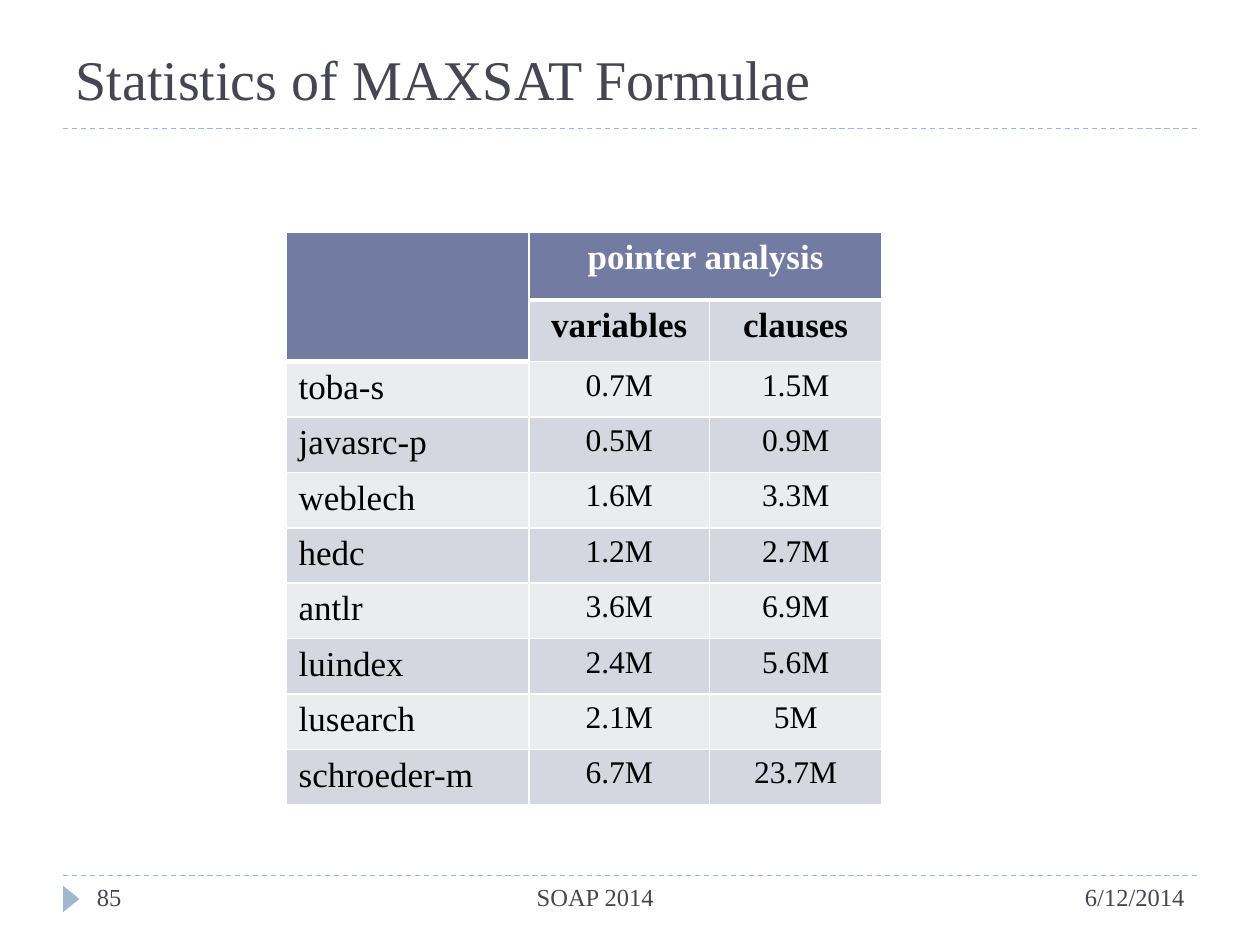
"""Build the slide with the table of MAXSAT formula statistics."""
from lxml import etree
from pptx import Presentation
from pptx.dml.color import RGBColor
from pptx.enum.dml import MSO_LINE
from pptx.enum.shapes import MSO_CONNECTOR, MSO_SHAPE
from pptx.enum.text import MSO_ANCHOR, PP_ALIGN
from pptx.oxml.ns import qn
from pptx.util import Inches, Pt

COLORS = {"text": "464653", "accent": "9FB8CD", "header": "727CA3", "dark": "D5D7E0",
          "light": "EBECF0", "white": "FFFFFF", "black": "000000"}
ROWS = [
    ("", "pointer analysis", ""),
    ("", "variables", "clauses"),
    ("toba-s", "0.7M", "1.5M"),
    ("javasrc-p", "0.5M", "0.9M"),
    ("weblech", "1.6M", "3.3M"),
    ("hedc", "1.2M", "2.7M"),
    ("antlr", "3.6M", "6.9M"),
    ("luindex", "2.4M", "5.6M"),
    ("lusearch", "2.1M", "5M"),
    ("schroeder-m", "6.7M", "23.7M"),
]


def write(tf, text, color, align=PP_ALIGN.LEFT, **formats):
    p = tf.paragraphs[0]
    p.alignment = align
    r = p.add_run()
    r.text = text
    r.font.color.rgb = RGBColor.from_string(COLORS[color])
    for name, value in {"name": "Times New Roman", "bold": False, **formats}.items():
        setattr(r.font, name, value)


def add_border(cell, edge, width):
    ln = etree.SubElement(cell._tc.get_or_add_tcPr(), qn(f"a:ln{edge}"), w=str(Pt(width)))
    fill = etree.SubElement(ln, qn("a:solidFill"))
    etree.SubElement(fill, qn("a:srgbClr"), val=COLORS["white"])


prs = Presentation()
prs.slide_width, prs.slide_height = Inches(10), Inches(7.5)
s = prs.slides.add_slide(prs.slide_layouts[5])

for y in (6.95, 1.02):
    rule = s.shapes.add_connector(MSO_CONNECTOR.STRAIGHT, Inches(0.5), Inches(y), Inches(9.5), Inches(y))
    rule.line.color.rgb = RGBColor.from_string(COLORS["accent"])
    rule.line.width = Pt(0.75)
    rule.line.dash_style = MSO_LINE.DASH
    etree.SubElement(rule._element.spPr, qn("a:effectLst"))

marker = s.shapes.add_shape(MSO_SHAPE.ISOSCELES_TRIANGLE, Inches(0.46), Inches(7.07), Inches(0.21), Inches(0.13))
marker.rotation = 90
marker.shadow.inherit = False
marker.fill.solid()
marker.fill.fore_color.rgb = RGBColor.from_string(COLORS["accent"])
marker.line.fill.background()

title = s.shapes.title
title.left, title.top, title.width, title.height = (Inches(v) for v in (0.5, 0.17, 9, 0.77))
title.text_frame.vertical_anchor = MSO_ANCHOR.BOTTOM
write(title.text_frame, "Statistics of MAXSAT Formulae", "text", size=Pt(32))

table = s.shapes.add_table(len(ROWS), 3, Inches(2.27), Inches(1.84), Inches(4.73), Inches(4.57)).table
for column, width in zip(table.columns, (1.93, 1.43, 1.37)):
    column.width = Inches(width)
for row, height in zip(table.rows, [0.54, 0.49] + [0.44] * 8):
    row.height = Inches(height)
table.cell(0, 0).merge(table.cell(1, 0))
table.cell(0, 1).merge(table.cell(0, 2))

for i, row in enumerate(ROWS):
    for j, text in enumerate(row):
        cell = table.cell(i, j)
        is_header = i == 0 or (i == 1 and j == 0)
        for edge in "LRTB":
            add_border(cell, edge, 3 if is_header and edge == "B" else 1)
        cell.fill.solid()
        shade = "header" if is_header else "dark" if i % 2 else "light"
        cell.fill.fore_color.rgb = RGBColor.from_string(COLORS[shade])
        if text:
            write(cell.text_frame, text, "white" if is_header else "black",
                  PP_ALIGN.CENTER if j else PP_ALIGN.LEFT,
                  size=Pt(18 if i > 1 and j else 20), bold=i < 2)

for text, left, width, align in (
    ("6/12/2014", 7, 2.5, PP_ALIGN.RIGHT),
    ("85", 0.67, 0.89, PP_ALIGN.LEFT),
    ("SOAP 2014", 1.56, 6.33, PP_ALIGN.CENTER),
):
    tf = s.shapes.add_textbox(Inches(left), Inches(6.95), Inches(width), Inches(0.4)).text_frame
    tf.word_wrap = True
    write(tf, text, "text", align, size=Pt(14))

prs.save("out.pptx")
